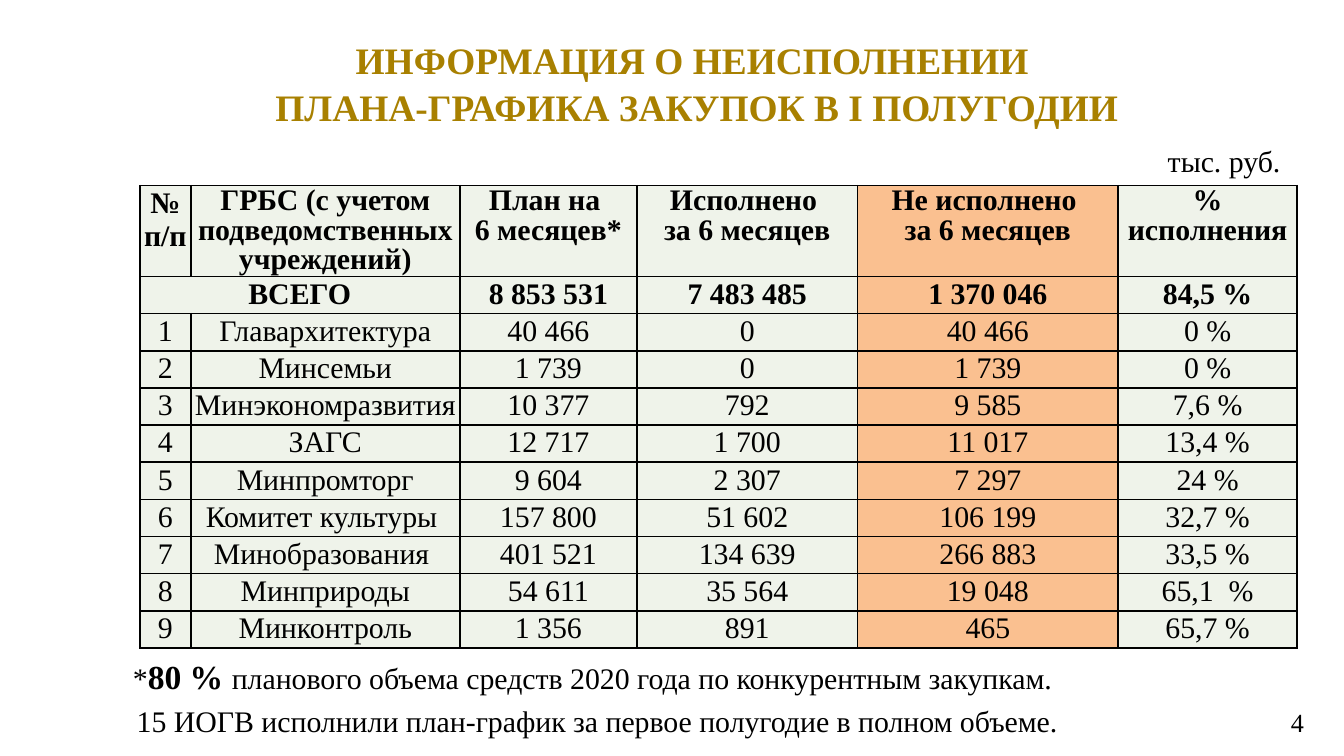
from dataclasses import dataclass

from lxml import etree
from pptx import Presentation
from pptx.dml.color import RGBColor
from pptx.enum.text import MSO_ANCHOR, MSO_AUTO_SIZE, PP_ALIGN
from pptx.oxml.ns import qn
from pptx.util import Pt

LEFT, CENTER, RIGHT = PP_ALIGN.LEFT, PP_ALIGN.CENTER, PP_ALIGN.RIGHT
TOP, MIDDLE = MSO_ANCHOR.TOP, MSO_ANCHOR.MIDDLE
NO_AUTOFIT = MSO_AUTO_SIZE.NONE


@dataclass(frozen=True)
class Theme:
    font: str = "Times New Roman"
    gold: RGBColor = RGBColor(0xA8, 0x80, 0x00)
    black: RGBColor = RGBColor(0x00, 0x00, 0x00)
    pale_green: RGBColor = RGBColor(0xEF, 0xF3, 0xEA)
    orange: RGBColor = RGBColor(0xFA, 0xC0, 0x90)
    title: Pt = Pt(20)
    emphasis: Pt = Pt(18)
    body: Pt = Pt(16)
    page_number: Pt = Pt(14)
    border: Pt = Pt(1)


theme = Theme()


def format_paragraph(paragraph, size=theme.body, color=theme.black, bold=False, align=LEFT):
    paragraph.alignment = align
    font = paragraph.font
    font.name, font.size, font.bold = theme.font, size, bold
    font.color.rgb = color


def set_borders(cell):
    properties = cell._tc.get_or_add_tcPr()
    for side in ("a:lnL", "a:lnR", "a:lnT", "a:lnB"):
        line = etree.SubElement(properties, qn(side), w=str(theme.border))
        fill = etree.SubElement(line, qn("a:solidFill"))
        etree.SubElement(fill, qn("a:srgbClr"), val=str(theme.black))


presentation = Presentation()
presentation.slide_width = Pt(720)
presentation.slide_height = Pt(405)
slide = presentation.slides.add_slide(presentation.slide_layouts[5])

# Title
title = slide.shapes.title
title.left, title.top, title.width, title.height = Pt(137.5), Pt(15.8), Pt(471.6), Pt(31)
frame = title.text_frame
frame.text = "ИНФОРМАЦИЯ О НЕИСПОЛНЕНИИ \nПЛАНА-ГРАФИКА ЗАКУПОК В I ПОЛУГОДИИ"
frame.auto_size = NO_AUTOFIT
frame.vertical_anchor = TOP
frame.margin_left = frame.margin_right = Pt(5)
frame.margin_top = frame.margin_bottom = Pt(2.9)
for paragraph in frame.paragraphs:
    paragraph.line_spacing = 1.05
    format_paragraph(paragraph, theme.title, theme.gold, True, CENTER)

# Unit, footnotes and page number
labels = [
    (618.5, 72.7, 75.6, 26.6, ["тыс. руб."], theme.body, LEFT, TOP),
    (64.1, 347.8, 517.7, 29, ["*", "80 % ", "планового объема средств 2020 года по конкурентным закупкам."],
     theme.body, LEFT, TOP),
    (66.2, 373, 511.2, 26.6, ["15 ИОГВ исполнили план-график за первое полугодие в полном объеме."],
     theme.body, LEFT, TOP),
    (664.6, 374.4, 38.9, 24.5, ["4"], theme.page_number, RIGHT, MIDDLE),
]
for left, top, width, height, texts, size, align, anchor in labels:
    label = slide.shapes.add_textbox(Pt(left), Pt(top), Pt(width), Pt(height))
    frame = label.text_frame
    frame.word_wrap = align == RIGHT
    frame.vertical_anchor = anchor
    if align == RIGHT:
        frame.margin_left = frame.margin_right = Pt(5)
    paragraph = frame.paragraphs[0]
    format_paragraph(paragraph, size, align=align)
    for text in texts:
        run = paragraph.add_run()
        run.text = text
        if text == "80 % ":
            run.font.size, run.font.bold = theme.emphasis, True

# Table of plan execution
rows = [
    ("№ п/п", "ГРБС (с учетом подведомственных учреждений)", "План на \n6 месяцев*",
     "Исполнено \nза 6 месяцев", "Не исполнено \nза 6 месяцев", "% исполнения"),
    ("ВСЕГО", "", "8 853 531", "7 483 485", "1 370 046", "84,5 %"),
    ("1", "Главархитектура", "40 466", "0", "40 466", "0 %"),
    ("2", "Минсемьи", "1 739", "0", "1 739", "0 %"),
    ("3", "Минэкономразвития", "10 377", "792", "9 585", "7,6 %"),
    ("4", "ЗАГС", "12 717", "1 700", "11 017", "13,4 %"),
    ("5", "Минпромторг", "9 604", "2 307", "7 297", "24 %"),
    ("6", "Комитет культуры ", "157 800", "51 602", "106 199", "32,7 %"),
    ("7", "Минобразования ", "401 521", "134 639", "266 883", "33,5 %"),
    ("8", "Минприроды", "54 611", "35 564", "19 048", "65,1  %"),
    ("9", "Минконтроль", "1 356", "891", "465", "65,7 %"),
]
column_widths = [27.4, 144, 95, 118.1, 139.7, 95.8]
header_height, row_height = 48.7, 19.77
unfulfilled_column = 4

table = slide.shapes.add_table(
    len(rows), len(column_widths), Pt(74.9), Pt(99.4), Pt(sum(column_widths)),
    Pt(header_height + row_height * (len(rows) - 1))).table
table.first_row = table.horz_banding = False
for column, width in zip(table.columns, column_widths):
    column.width = Pt(width)
for row_index, texts in enumerate(rows):
    table.rows[row_index].height = Pt(row_height if row_index else header_height)
    for column_index, text in enumerate(texts):
        cell = table.cell(row_index, column_index)
        set_borders(cell)
        cell.fill.solid()
        cell.fill.fore_color.rgb = theme.orange if column_index == unfulfilled_column else theme.pale_green
        cell.margin_left = cell.margin_right = cell.margin_top = Pt(0.7)
        cell.margin_bottom = 0
        cell.text = text
        for paragraph in cell.text_frame.paragraphs:
            if row_index == 0 and column_index > 0:
                paragraph.line_spacing = Pt(16)
            format_paragraph(paragraph, bold=row_index < 2, align=CENTER)
table.cell(1, 0).merge(table.cell(1, 1))

presentation.save("out.pptx")
